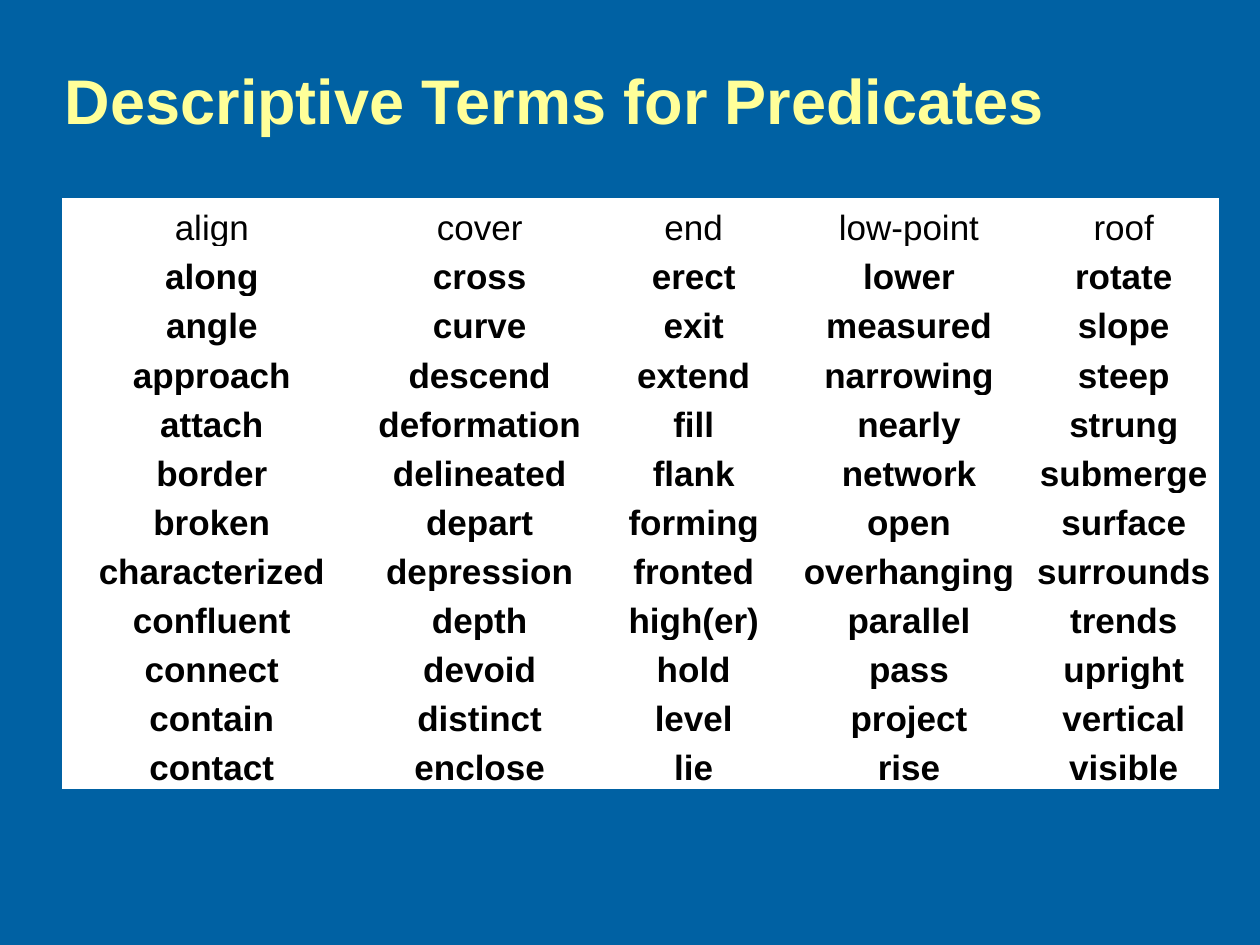
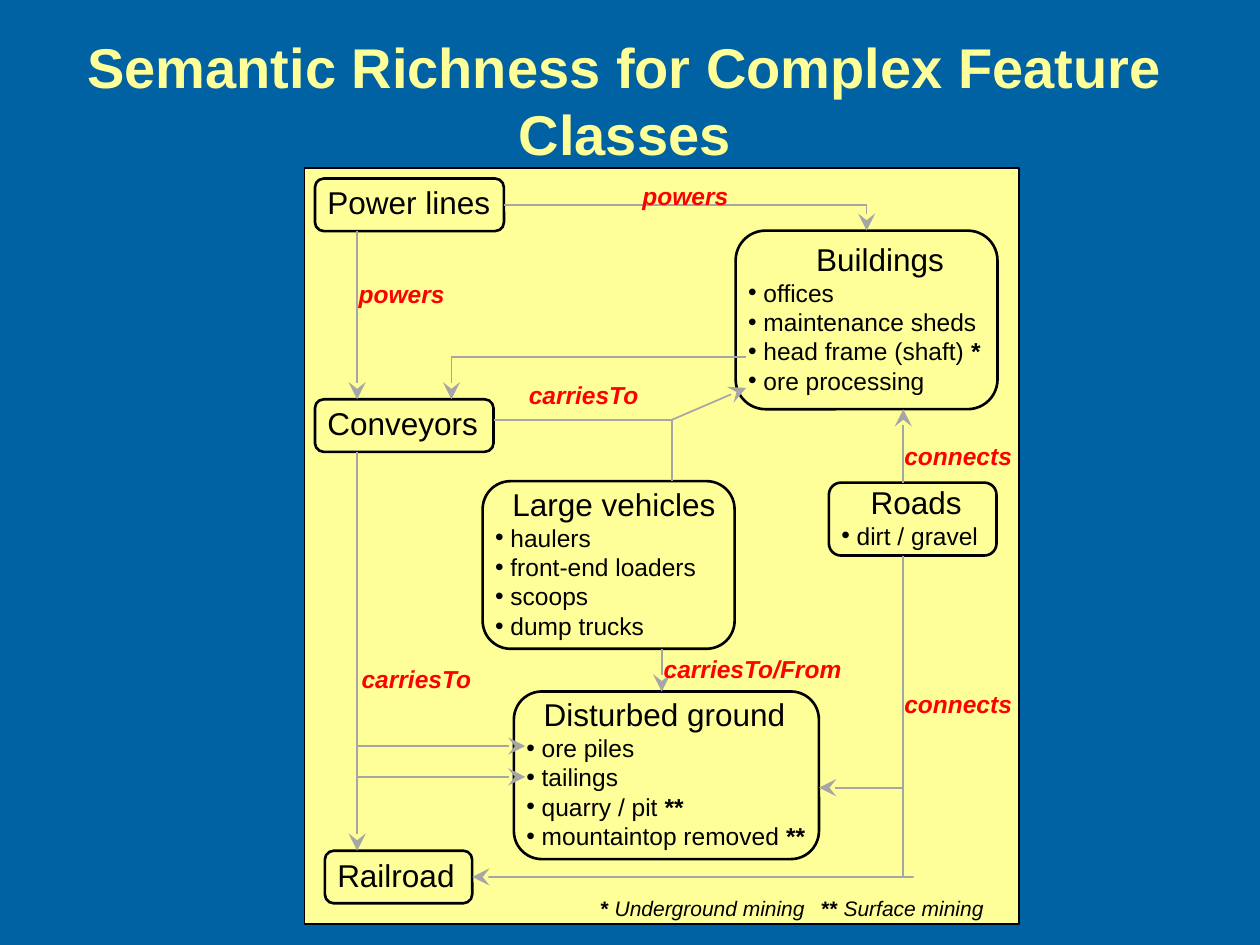
from lxml.etree import SubElement
from pptx import Presentation
from pptx.dml.color import RGBColor
from pptx.enum.shapes import MSO_CONNECTOR, MSO_SHAPE
from pptx.enum.text import MSO_ANCHOR, PP_ALIGN
from pptx.oxml.ns import qn
from pptx.util import Cm, Pt

BLUE = RGBColor(0x00, 0x61, 0xA3)
CREAM = RGBColor(0xFF, 0xFF, 0x99)
WHITE = RGBColor(0xFF, 0xFF, 0xFF)
BLACK = RGBColor(0, 0, 0)
GRAY = RGBColor(0xA6, 0xA6, 0xA6)
RED = RGBColor(0xFF, 0, 0)
FONT = "Arial"
ROUND = 0.167

# Content of the term table, one list per row
TERMS = [row.split() for row in (
    "align cover end low-point roof",
    "along cross erect lower rotate",
    "angle curve exit measured slope",
    "approach descend extend narrowing steep",
    "attach deformation fill nearly strung",
    "border delineated flank network submerge",
    "broken depart forming open surface",
    "characterized depression fronted overhanging surrounds",
    "confluent depth high(er) parallel trends",
    "connect devoid hold pass upright",
    "contain distinct level project vertical",
    "contact enclose lie rise visible",
)]
WIDTHS = (6.0, 4.8, 3.83, 4.85, 3.81)
ROW = 0.99

# Feature classes: name, (left, top, width, height), heading indent, items;
# an item is its text and, where needed, a mark
BOXES = [
    ("Power lines", (6.35, 3.6, 3.81, 1.06), 0, []),
    ("Conveyors", (6.35, 8.05, 3.6, 1.06), 0, []),
    ("Railroad", (6.55, 17.15, 2.97, 1.06), 0, []),
    ("Roads", (16.71, 9.73, 3.38, 1.47), 0.59, [("dirt / gravel",)]),
    ("Buildings", (14.83, 4.65, 5.28, 3.6), 1.37,
     [("offices",), ("maintenance sheds",), ("head frame (shaft) ", "*"),
      ("ore processing",)]),
    ("Disturbed ground", (10.36, 13.94, 6.15, 3.38), 0.35,
     [("ore piles",), ("tailings",), ("quarry / pit ", "**"),
      ("mountaintop removed ", "**")]),
    ("Large vehicles", (9.73, 9.7, 5.08, 3.38), 0.35,
     [("haulers",), ("front-end loaders",), ("scoops",), ("dump trucks",)]),
]

# Links: start, end, arrowhead; an end is a point or (box name, side)
LINKS = [
    ((18.21, 11.2), (18.21, 17.68), False),
    ((18.42, 17.68), ("Railroad", 3), True),
    ((18.21, 15.88), (16.51, 15.88), True),
    ((7.2, 4.66), (7.2, 8.05), True),
    ((7.2, 9.11), (7.2, 17.15), True),
    (("Power lines", 3), (17.47, 4.13), False),
    ((17.47, 4.13), ("Buildings", 0), True),
    ((18.21, 9.73), (18.21, 8.25), True),
    ((7.2, 15.04), (10.59, 15.04), True),
    ((7.2, 15.66), (10.59, 15.66), True),
    ((13.34, 13.08), (13.34, 13.94), True),
    ((15.04, 7.2), (9.1, 7.2), False),
    ((9.1, 7.2), (9.1, 8.05), True),
    ((9.95, 8.46), (13.55, 8.46), False),
    ((13.55, 9.7), (13.55, 8.46), False),
    ((13.55, 8.46), (15.04, 7.82), True),
]

# Link labels: text, left, top, width
LABELS = [
    ("connects", 17.98, 8.76, 2.74),
    ("connects", 17.98, 13.77, 2.74),
    ("powers", 12.7, 3.53, 2.54),
    ("powers", 6.98, 5.51, 2.34),
    ("carriesTo", 7.04, 13.26, 3.12),
    ("carriesTo/From", 13.13, 13.06, 4.45),
    ("carriesTo", 10.41, 7.54, 3.12),
]
NOTES = [("* ", "Underground mining", 11.86, 4.65),
         ("** ", "Surface mining", 16.31, 4.24)]


def add_run(para, text, size, color=BLACK, bold=False, italic=False):
    run = para.add_run()
    run.text = text
    font = run.font
    font.name, font.size, font.bold, font.italic = FONT, Pt(size), bold, italic
    font.color.rgb = color


def add_text(slide, left, top, width, height):
    frame = slide.shapes.add_textbox(
        Cm(left), Cm(top), Cm(width), Cm(height)).text_frame
    frame.word_wrap = True
    return frame


def add_slide(deck, title, align):
    slide = deck.slides.add_slide(deck.slide_layouts[6])
    slide.background.fill.solid()
    slide.background.fill.fore_color.rgb = BLUE
    frame = add_text(slide, 1.06, 0.42, 23.07, 3.18)
    frame.vertical_anchor = MSO_ANCHOR.MIDDLE
    para = frame.paragraphs[0]
    para.alignment = align
    add_run(para, title, 36 if align == PP_ALIGN.LEFT else 32, CREAM, True)
    return slide


def add_edge(cell, side, width):
    edge = SubElement(cell._tc.get_or_add_tcPr(), qn("a:ln" + side),
                      w=str(Pt(width)))
    fill = SubElement(edge, qn("a:solidFill"))
    SubElement(fill, qn("a:srgbClr"), val=str(WHITE))


def add_terms(slide):
    table = slide.shapes.add_table(
        len(TERMS), len(WIDTHS), Cm(1.27), Cm(4.01),
        Cm(sum(WIDTHS)), Cm(ROW * len(TERMS))).table
    table.first_row = table.horz_banding = False
    for col, width in zip(table.columns, WIDTHS):
        col.width = Cm(width)
    for r, words in enumerate(TERMS):
        table.rows[r].height = Cm(ROW)
        for c, word in enumerate(words):
            cell = table.cell(r, c)
            for side in "LRTB":
                heavy = (r, side) in ((0, "B"), (1, "T"))
                add_edge(cell, side, 3 if heavy else 1)
            cell.fill.solid()
            cell.fill.fore_color.rgb = WHITE
            cell.margin_left = cell.margin_right = 0
            cell.margin_top = cell.margin_bottom = 0
            cell.vertical_anchor = MSO_ANCHOR.BOTTOM
            para = cell.text_frame.paragraphs[0]
            para.alignment = PP_ALIGN.CENTER
            para.line_spacing = Pt(10)
            add_run(para, word, 20, bold=r > 0)


def add_panel(slide, kind, place, weight):
    shape = slide.shapes.add_shape(kind, *map(Cm, place))
    shape.shadow.inherit = False
    shape.fill.solid()
    shape.fill.fore_color.rgb = CREAM
    shape.line.color.rgb = BLACK
    shape.line.width = Pt(weight)
    return shape


def add_box(slide, name, place, indent, items):
    shape = add_panel(slide, MSO_SHAPE.ROUNDED_RECTANGLE, place, 1.5)
    shape.adjustments[0] = ROUND
    frame = shape.text_frame
    frame.word_wrap = True
    frame.vertical_anchor = MSO_ANCHOR.MIDDLE
    # The rounded corners already push the text inwards
    frame.margin_left = Cm(0.25 - 0.29 * ROUND * min(place[2:]))
    frame.margin_right = frame.margin_top = 0
    frame.margin_bottom = Cm(0.1)
    head = frame.paragraphs[0]
    head.alignment = PP_ALIGN.LEFT
    head._p.get_or_add_pPr().set("marL", str(Cm(indent)))
    add_run(head, name, 18)
    for text, *marks in items:
        para = frame.add_paragraph()
        para.alignment = PP_ALIGN.LEFT
        props = para._p.get_or_add_pPr()
        props.set("marL", str(Cm(0.31)))
        props.set("indent", str(-Cm(0.31)))
        SubElement(props, qn("a:buFont"), typeface=FONT)
        SubElement(props, qn("a:buChar"), char="•")
        add_run(para, text, 14)
        for mark in marks:
            add_run(para, mark, 14, bold=True)
    return shape


def add_link(slide, boxes, start, end, arrow):
    line = slide.shapes.add_connector(MSO_CONNECTOR.STRAIGHT, 0, 0, 0, 0)
    if start[0] in boxes:
        line.begin_connect(boxes[start[0]], start[1])
    else:
        line.begin_x, line.begin_y = map(Cm, start)
    if end[0] in boxes:
        line.end_connect(boxes[end[0]], end[1])
    else:
        line.end_x, line.end_y = map(Cm, end)
    line.line.color.rgb = GRAY
    line.line.width = Pt(1)
    if arrow:
        SubElement(line.line._get_or_add_ln(), qn("a:tailEnd"),
                   type="stealth", w="lg", len="lg")
    SubElement(line._element.spPr, qn("a:effectLst"))


def main():
    deck = Presentation()
    deck.slide_width, deck.slide_height = Cm(25.4), Cm(19.05)

    # Table of terms
    add_terms(add_slide(deck, "Descriptive Terms for Predicates",
                        PP_ALIGN.LEFT))

    # Diagram of feature classes
    slide = add_slide(deck, "Semantic Richness for Complex Feature Classes",
                      PP_ALIGN.CENTER)
    add_panel(slide, MSO_SHAPE.RECTANGLE, (6.14, 3.39, 14.4, 15.24), 1)
    boxes = {box[0]: add_box(slide, *box) for box in BOXES}
    for link in LINKS:
        add_link(slide, boxes, *link)
    for text, left, top, width in LABELS:
        frame = add_text(slide, left, top, width, 0.86)
        add_run(frame.paragraphs[0], text, 14, RED, True, True)
    for mark, text, left, width in NOTES:
        para = add_text(slide, left, 17.93, width, 0.76).paragraphs[0]
        add_run(para, mark, 12, bold=True)
        add_run(para, text, 12, italic=True)

    deck.save("out.pptx")


if __name__ == "__main__":
    main()
